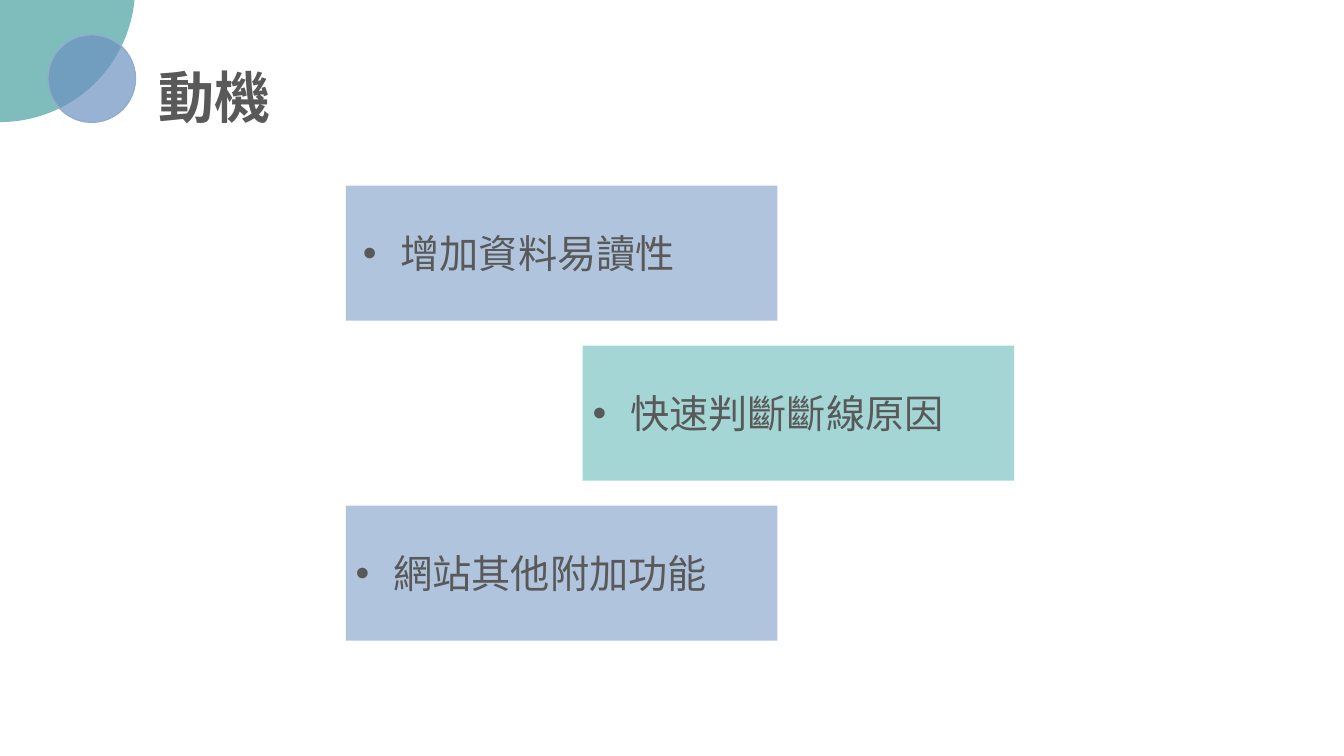
import lxml.etree
import pptx
import pptx.dml.color
import pptx.enum.shapes
import pptx.enum.text
import pptx.oxml.ns
import pptx.util

Pt = pptx.util.Pt
qn = pptx.oxml.ns.qn
ALIGN = pptx.enum.text.PP_ALIGN
SHAPE = pptx.enum.shapes.MSO_SHAPE

COLORS = {
    "text": "595959",
    "teal": "48A2A0",
    "blue": "6C92C0",
    "blue_edge": "92ACCD",
    "card_blue": "B0C4DD",
    "card_teal": "A4D6D5",
}


class SlideBuilder:
    font_name = "Noto Sans CJK SC"
    title_size = 40
    bullet_size = 28
    bullet_indent = 27

    def __init__(self, slide):
        self.slide = slide

    def color(self, name):
        return pptx.dml.color.RGBColor.from_string(COLORS[name])

    def add_filled(self, shapes, kind, left, top, width, height, fill, edge=None, opacity=100):
        shape = shapes.add_shape(kind, Pt(left), Pt(top), Pt(width), Pt(height))
        shape.shadow.inherit = False
        shape.fill.solid()
        shape.fill.fore_color.rgb = self.color(fill)
        if opacity < 100:
            fill_color = shape.fill._xPr.find(qn("a:solidFill"))[0]
            alpha = lxml.etree.SubElement(fill_color, qn("a:alpha"))
            alpha.set("val", str(opacity * 1000))
        if edge:
            shape.line.color.rgb = self.color(edge)
            shape.line.width = Pt(1)
        else:
            shape.line.fill.background()

    def add_circle(self, left, top, diameter, fill, edge=None):
        self.add_filled(self.slide.shapes, SHAPE.OVAL, left, top, diameter, diameter,
                        fill, edge, opacity=70)

    def set_text(self, box, text, size, align, bold=False):
        frame = box.text_frame
        frame.text = text
        frame.auto_size = pptx.enum.text.MSO_AUTO_SIZE.SHAPE_TO_FIT_TEXT
        frame.vertical_anchor = pptx.enum.text.MSO_ANCHOR.TOP
        para = frame.paragraphs[0]
        para.alignment = align
        span = para.runs[0]
        span.font.size = Pt(size)
        span.font.bold = bold
        span.font.color.rgb = self.color("text")
        span.font.name = self.font_name
        east_asian = lxml.etree.SubElement(span.font._element, qn("a:ea"))
        east_asian.set("typeface", self.font_name)
        return para

    def add_title(self, text, left, top, width, height):
        title = self.slide.shapes.title
        title.left, title.top = Pt(left), Pt(top)
        title.width, title.height = Pt(width), Pt(height)
        self.set_text(title, text, self.title_size, ALIGN.LEFT, bold=True)
        title.text_frame.word_wrap = False

    def add_card(self, text, left, top, fill, text_width, align):
        """Group a coloured rectangle with its one bulleted line."""
        group = self.slide.shapes.add_group_shape()
        self.add_filled(group.shapes, SHAPE.RECTANGLE, left, top, 308.2, 96.5, fill)
        box = group.shapes.add_textbox(Pt(left), Pt(top + 27.8), Pt(text_width), Pt(41))
        para = self.set_text(box, text, self.bullet_size, align)
        box.text_frame.word_wrap = True
        properties = para._p.get_or_add_pPr()
        properties.set("marL", str(Pt(self.bullet_indent)))
        properties.set("indent", str(-Pt(self.bullet_indent)))
        bullet_font = lxml.etree.SubElement(properties, qn("a:buFont"))
        bullet_font.set("typeface", "Arial")
        lxml.etree.SubElement(properties, qn("a:buChar")).set("char", "•")


def main():
    deck = pptx.Presentation()
    deck.slide_width, deck.slide_height = Pt(960), Pt(540)
    page = SlideBuilder(deck.slides.add_slide(deck.slide_layouts[5]))

    page.add_circle(-96.5, -105.8, 193, "teal")
    page.add_circle(34.2, 24.8, 62.6, "blue", "blue_edge")
    page.add_title("動機", 105.8, 41, 95, 55.4)

    cards = [
        ("增加資料易讀性", 247, "card_blue", 247, ALIGN.CENTER),
        ("快速判斷斷線原因", 416.2, "card_teal", 269.3, ALIGN.LEFT),
        ("網站其他附加功能", 247, "card_blue", 269.3, ALIGN.LEFT),
    ]
    first_top, pitch = 132.6, 114.3
    for row, (text, left, fill, text_width, align) in enumerate(cards):
        page.add_card(text, left, first_top + row * pitch, fill, text_width, align)

    deck.save("out.pptx")


if __name__ == "__main__":
    main()
